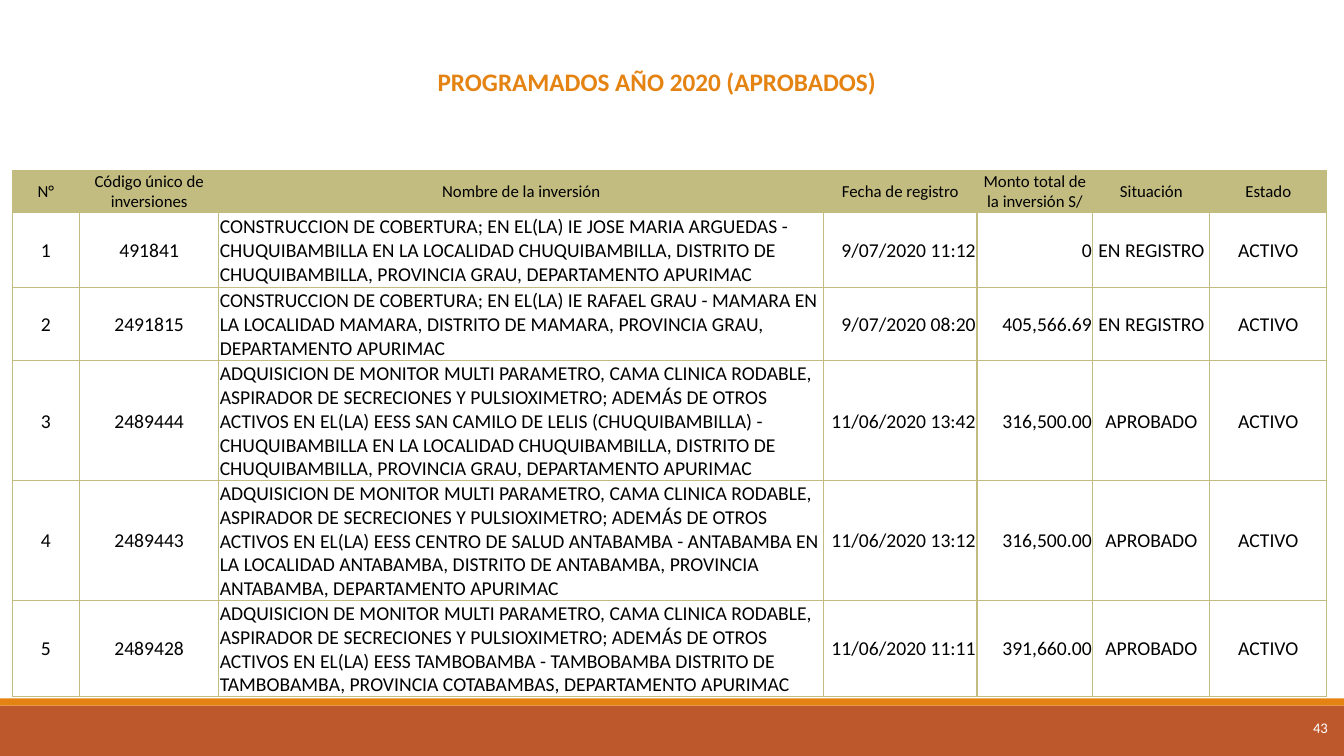
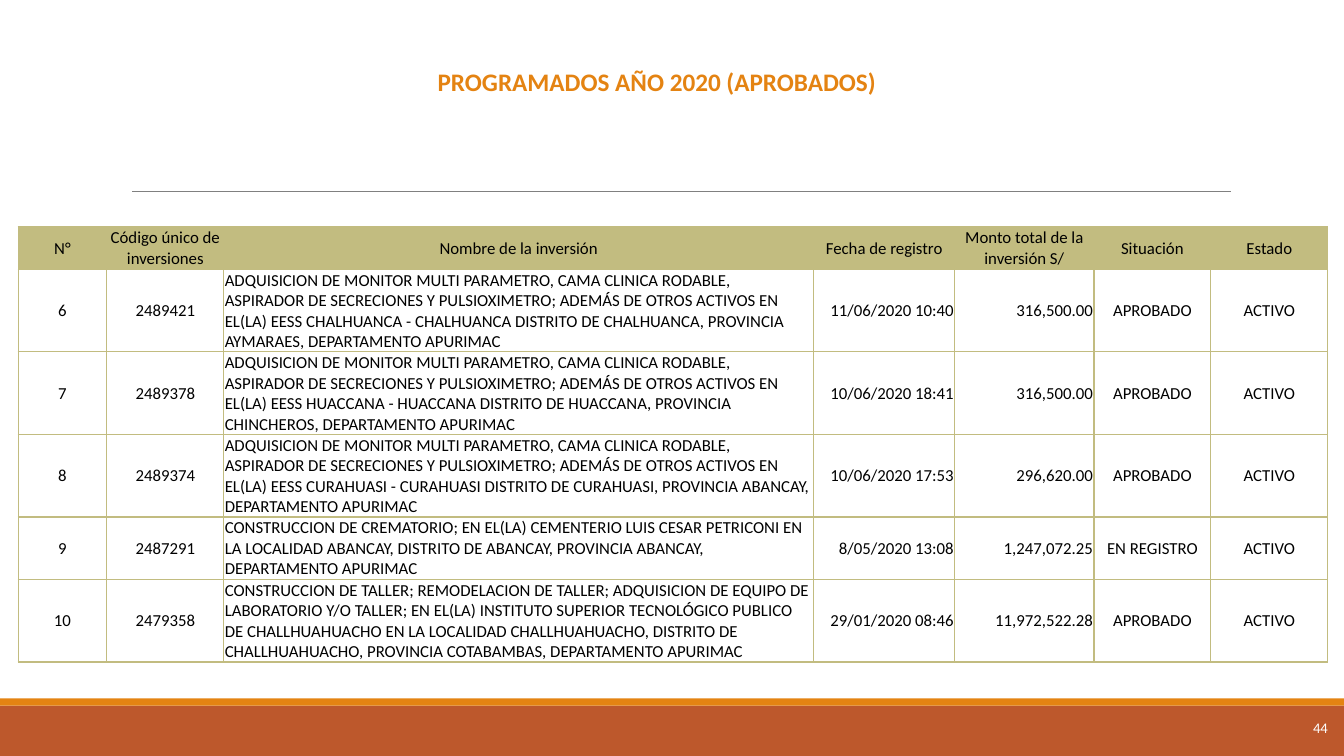
from pptx import Presentation
from pptx import util as u
from pptx.dml.color import RGBColor
from pptx.enum import shapes, text
from pptx.oxml import parse_xml
from pptx.oxml.ns import nsdecls, qn

ORANGE, RUST, OLIVE, GRAY = "E48312", "BD582C", "C2BC80", "808080"
BLACK, WHITE = "000000", "FFFFFF"
LEFT, CENTER, RIGHT = text.PP_ALIGN.LEFT, text.PP_ALIGN.CENTER, text.PP_ALIGN.RIGHT
ALIGNMENTS = [CENTER, CENTER, LEFT, RIGHT, RIGHT, CENTER, CENTER]
TITLE = "PROGRAMADOS AÑO 2020 (APROBADOS)"
HEADERS = ["N°", "Código único de inversiones", "Nombre de la inversión", "Fecha de registro",
           "Monto total de la inversión S/", "Situación", "Estado"]
MONITORS = ("ADQUISICION DE MONITOR MULTI PARAMETRO, CAMA CLINICA RODABLE, ASPIRADOR DE "
            "SECRECIONES Y PULSIOXIMETRO; ADEMÁS DE OTROS ACTIVOS EN EL(LA) EESS ")
ROOF = "CONSTRUCCION DE COBERTURA; EN EL(LA) IE "

PAGES = [
    {
        "number": 43, "left": 0.12, "top": 1.69, "size": 14,
        "columns": [0.67, 1.38, 6, 1.52, 1.15, 1.16, 1.16],
        "heights": [0.42, 0.74, 0.73, 1.19, 1.19, 0.95],
        "rows": [
            ["1", "491841", ROOF + "JOSE MARIA ARGUEDAS - CHUQUIBAMBILLA EN LA LOCALIDAD "
             "CHUQUIBAMBILLA, DISTRITO DE CHUQUIBAMBILLA, PROVINCIA GRAU, DEPARTAMENTO APURIMAC",
             "9/07/2020 11:12", "0", "EN REGISTRO"],
            ["2", "2491815", ROOF + "RAFAEL GRAU - MAMARA EN LA LOCALIDAD MAMARA, DISTRITO DE "
             "MAMARA, PROVINCIA GRAU, DEPARTAMENTO APURIMAC",
             "9/07/2020 08:20", "405,566.69", "EN REGISTRO"],
            ["3", "2489444", MONITORS + "SAN CAMILO DE LELIS (CHUQUIBAMBILLA) - CHUQUIBAMBILLA EN "
             "LA LOCALIDAD CHUQUIBAMBILLA, DISTRITO DE CHUQUIBAMBILLA, PROVINCIA GRAU, "
             "DEPARTAMENTO APURIMAC", "11/06/2020 13:42", "316,500.00", "APROBADO"],
            ["4", "2489443", MONITORS + "CENTRO DE SALUD ANTABAMBA - ANTABAMBA EN LA LOCALIDAD "
             "ANTABAMBA, DISTRITO DE ANTABAMBA, PROVINCIA ANTABAMBA, DEPARTAMENTO APURIMAC",
             "11/06/2020 13:12", "316,500.00", "APROBADO"],
            ["5", "2489428", MONITORS + "TAMBOBAMBA - TAMBOBAMBA DISTRITO DE TAMBOBAMBA, "
             "PROVINCIA COTABAMBAS, DEPARTAMENTO APURIMAC",
             "11/06/2020 11:11", "391,660.00", "APROBADO"],
        ],
    },
    {
        "number": 44, "left": 0.18, "top": 2.25, "size": 12,
        "columns": [0.88, 1.16, 5.85, 1.4, 1.38, 1.16, 1.16],
        "heights": [0.42, 0.82, 0.82, 0.82, 0.62, 0.82],
        "rows": [
            ["6", "2489421", MONITORS + "CHALHUANCA - CHALHUANCA DISTRITO DE CHALHUANCA, "
             "PROVINCIA AYMARAES, DEPARTAMENTO APURIMAC",
             "11/06/2020 10:40", "316,500.00", "APROBADO"],
            ["7", "2489378", MONITORS + "HUACCANA - HUACCANA DISTRITO DE HUACCANA, "
             "PROVINCIA CHINCHEROS, DEPARTAMENTO APURIMAC",
             "10/06/2020 18:41", "316,500.00", "APROBADO"],
            ["8", "2489374", MONITORS + "CURAHUASI - CURAHUASI DISTRITO DE CURAHUASI, "
             "PROVINCIA ABANCAY, DEPARTAMENTO APURIMAC",
             "10/06/2020 17:53", "296,620.00", "APROBADO"],
            ["9", "2487291", "CONSTRUCCION DE CREMATORIO; EN EL(LA) CEMENTERIO LUIS CESAR "
             "PETRICONI EN LA LOCALIDAD ABANCAY, DISTRITO DE ABANCAY, PROVINCIA ABANCAY, "
             "DEPARTAMENTO APURIMAC", "8/05/2020 13:08", "1,247,072.25", "EN REGISTRO"],
            ["10", "2479358", "CONSTRUCCION DE TALLER; REMODELACION DE TALLER; ADQUISICION DE "
             "EQUIPO DE LABORATORIO Y/O TALLER; EN EL(LA) INSTITUTO SUPERIOR TECNOLÓGICO PUBLICO "
             "DE CHALLHUAHUACHO EN LA LOCALIDAD CHALLHUAHUACHO, DISTRITO DE CHALLHUAHUACHO, "
             "PROVINCIA COTABAMBAS, DEPARTAMENTO APURIMAC",
             "29/01/2020 08:46", "11,972,522.28", "APROBADO"],
        ],
    },
]


def color(value):
    return RGBColor.from_string(value)


def write(frame, content, align, size, ink=BLACK, bold=False):
    """Fill a text frame with one formatted, vertically centred paragraph."""
    frame.word_wrap = True
    frame.vertical_anchor = text.MSO_ANCHOR.MIDDLE
    para = frame.paragraphs[0]
    para.alignment = align
    span = para.add_run()
    span.text = content
    for name, value in {"name": "Calibri", "size": u.Pt(size), "bold": bold}.items():
        setattr(span.font, name, value)
    span.font.color.rgb = color(ink)


deck = Presentation()
deck.slide_width, deck.slide_height = u.Inches(13.33), u.Inches(7.5)
layout = deck.slide_layouts.get_by_name("Title Only")
title_box = layout.placeholders[0]
for name, value in {"left": 3.17, "top": 0.61, "width": 6.69, "height": 0.4}.items():
    setattr(title_box, name, u.Inches(value))
slides = [deck.slides.add_slide(layout) for _ in PAGES]

# Footer bands and rule are drawn once, then moved to the shared layout.
decorations = []
for top, height, fill in [(7, 0.5, RUST), (6.93, 0.07, ORANGE)]:
    band = slides[0].shapes.add_shape(shapes.MSO_SHAPE.RECTANGLE, 0, u.Inches(top),
                                      deck.slide_width, u.Inches(height))
    band.shadow.inherit = False
    band.fill.solid()
    band.fill.fore_color.rgb = color(fill)
    band.line.fill.background()
    decorations.append(band)
rule = slides[0].shapes.add_connector(shapes.MSO_CONNECTOR.STRAIGHT, u.Inches(1.31),
                                      u.Inches(1.9), u.Inches(12.21), u.Inches(1.9))
rule.line.color.rgb = color(GRAY)
rule.line.width = u.Pt(0.5)
rule.element.spPr.append(parse_xml(f"<a:effectLst {nsdecls('a')}/>"))
decorations.append(rule)
for index, shape in enumerate(decorations):
    shape.element.xpath(".//p:cNvPr")[0].set("id", str(100 + index))
    layout.shapes.element.insert(2 + index, shape.element)

for slide, page in zip(slides, PAGES):
    number = slide.shapes.add_textbox(u.Inches(12.37), u.Inches(6.93),
                                      u.Inches(0.8), u.Inches(0.57)).text_frame
    for side in ("left", "right", "top", "bottom"):
        setattr(number, f"margin_{side}", 0)
    write(number, str(page["number"]), RIGHT, 10.5, WHITE)

    rows = [HEADERS] + [row + ["ACTIVO"] for row in page["rows"]]
    table = slide.shapes.add_table(
        len(rows), len(HEADERS), u.Inches(page["left"]), u.Inches(page["top"]),
        u.Inches(sum(page["columns"])), u.Inches(sum(page["heights"]))).table
    table.horz_banding = False
    for column, width in zip(table.columns, page["columns"]):
        column.width = u.Inches(width)
    for row, height in zip(table.rows, page["heights"]):
        row.height = u.Inches(height)
    for r, values in enumerate(rows):
        for c, value in enumerate(values):
            cell = table.cell(r, c)
            for side in ("left", "right", "top"):
                setattr(cell, f"margin_{side}", u.Inches(0.01))
            cell.margin_bottom = 0
            cell.vertical_anchor = text.MSO_ANCHOR.MIDDLE
            properties = cell.fill and cell.text_frame and table.cell(r, c).fill
            borders = table.rows[r].cells[c].text_frame
            header = r == 0
            write(cell.text_frame, value, CENTER if header else ALIGNMENTS[c],
                  12 if header else page["size"])
            cell_format = cell.text_frame and slide.shapes[-1].element.findall(
                ".//" + qn("a:tcPr"))[r * len(HEADERS) + c]
            for edge in "LRTB":
                cell_format.append(parse_xml(
                    f'<a:ln{edge} {nsdecls("a")} w="12700"><a:solidFill>'
                    f'<a:srgbClr val="{OLIVE}"/></a:solidFill></a:ln{edge}>'))
            if header:
                cell.fill.solid()
                cell.fill.fore_color.rgb = color(OLIVE)
            else:
                cell.fill.background()

    slide.shapes.title.text_frame.auto_size = text.MSO_AUTO_SIZE.NONE
    write(slide.shapes.title.text_frame, TITLE, CENTER, 18, ORANGE, True)

deck.save("out.pptx")
